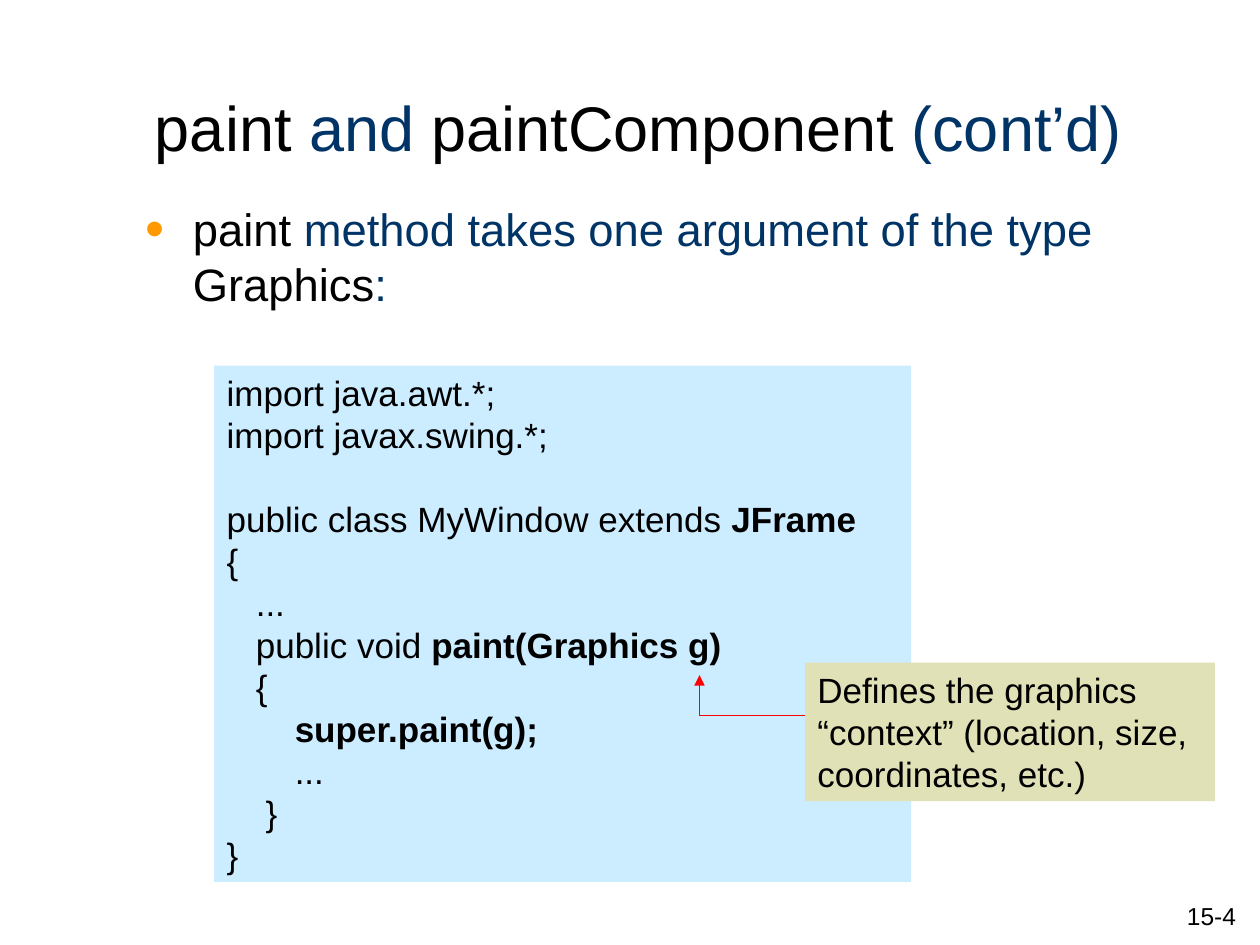
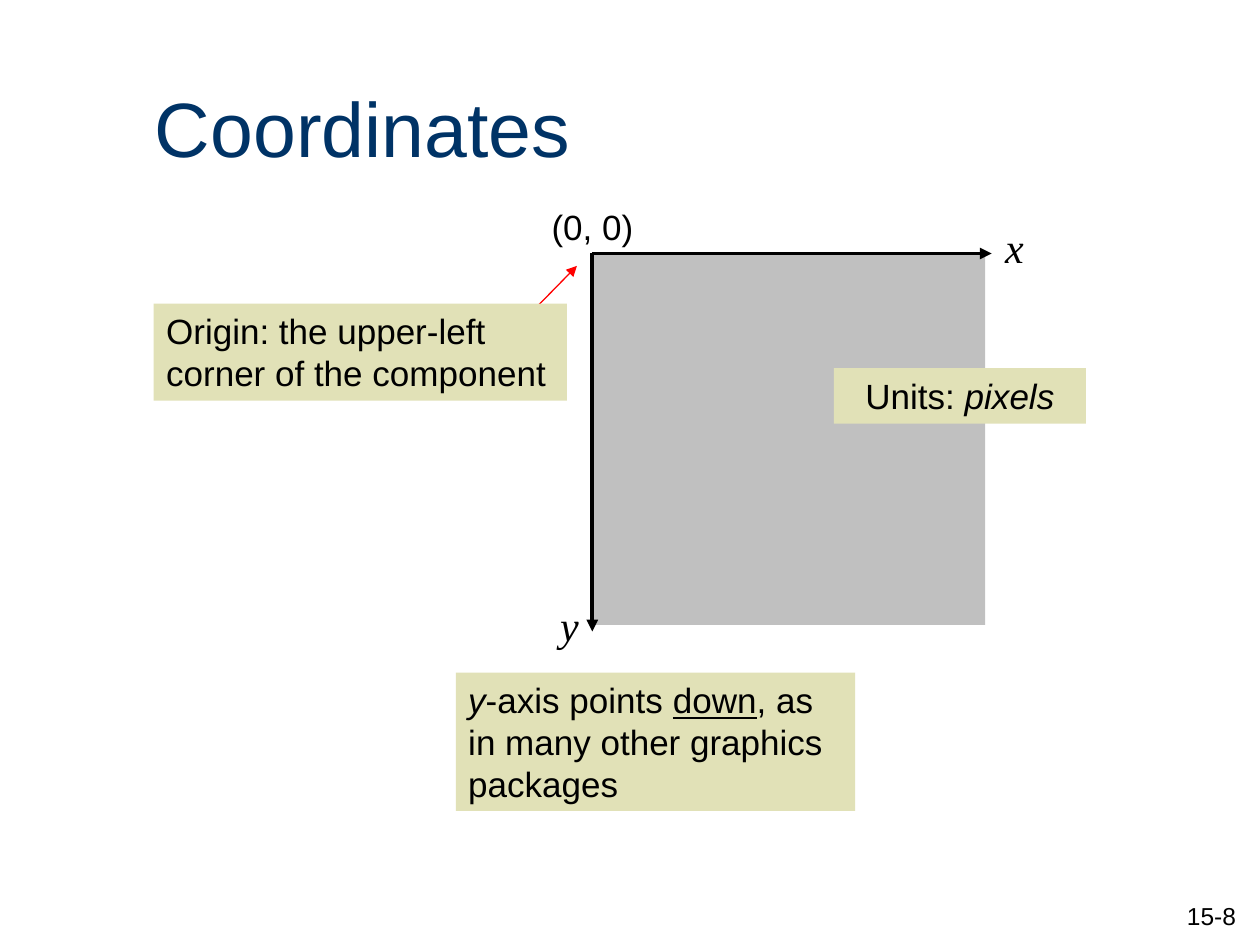
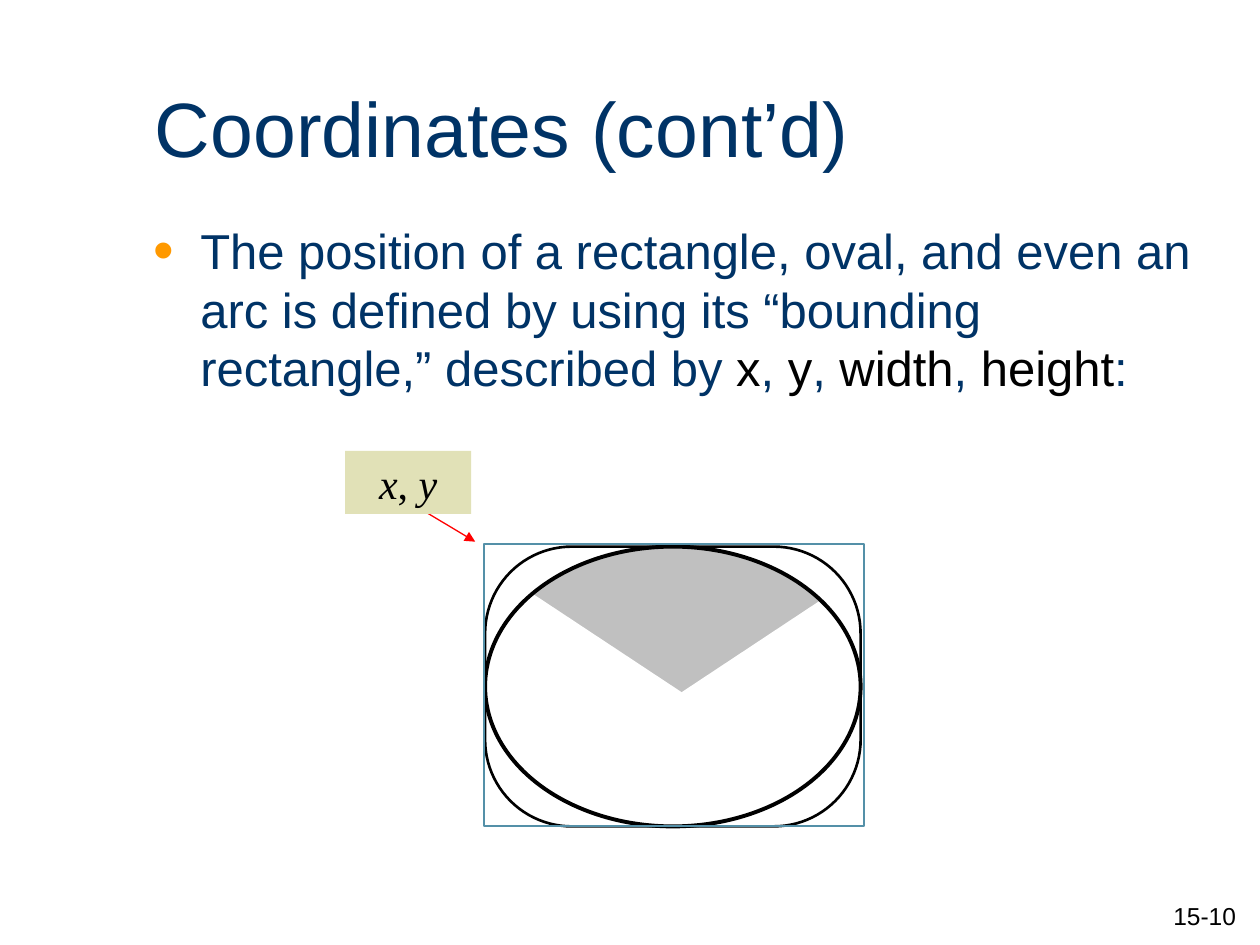
"""Builds three lecture slides on painting and coordinates in Java graphics."""
from dataclasses import dataclass

from lxml.etree import SubElement
from pptx import Presentation
from pptx.dml.color import RGBColor
from pptx.enum.shapes import MSO_CONNECTOR, MSO_SHAPE
from pptx.enum.text import MSO_ANCHOR, MSO_AUTO_SIZE, PP_ALIGN
from pptx.oxml.ns import qn
from pptx.util import Cm, Pt


@dataclass(frozen=True)
class Theme:
    sans: str = "Arial"
    serif: str = "Times New Roman"
    ink: str = "000000"
    navy: str = "003366"
    paper: str = "FFFFFF"
    bullet: str = "FF9900"
    code: str = "CCECFF"
    note: str = "E1E1B7"
    area: str = "C0C0C0"
    pointer: str = "FF0000"
    bounds: str = "5490A8"
    number_size: float = 14
    text_size: float = 20
    symbol_size: float = 24
    title_size: float = 44
    long_title_size: float = 36
    leading: float = 1.2
    thin: float = 0.75


THEME = Theme()
INK = {"color": THEME.ink}
BOLD = {"bold": True}
ITALIC = {"italic": True}
UNDERLINE = {"underline": True}
SYMBOL = {"size": THEME.symbol_size, "font": THEME.serif, "align": PP_ALIGN.CENTER}

PAINT_TITLE = [("paint", INK), (" and ", {}), ("paintComponent", INK), (" (cont’d)", {})]
PAINT_BODY = [("paint", INK), (" method takes one argument of the type ", {}),
              ("Graphics", INK), (":", {})]
CODE_LINES = [
    (0, 0, [("import java.awt.*;", {})]),
    (0, 0, [("import javax.swing.*;", {})]),
    (0, 1, [("public class MyWindow extends ", {}), ("JFrame", BOLD)]),
    (0, 0, [("{", {})]),
    (3, 0, [("...", {})]),
    (3, 0, [("public void ", {}), ("paint(Graphics g)", BOLD)]),
    (3, 0, [("{", {})]),
    (7, 0, [("super.paint(g);", BOLD)]),
    (7, 0, [("...", {})]),
    (4, 0, [("}", {})]),
    (0, 0, [("}", {})]),
]
CONTEXT_NOTE = [("Defines the graphics “context” (location, size, coordinates, etc.)", {})]

ORIGIN = (11.94, 5.11)
AXIS_ENDS = [(11.94, 12.73), (19.99, 5.11)]
AXIS_NAMES = [("x", (19.18, 4.34, 2.54, 1.27)), ("y", (10.21, 11.96, 2.54, 1.27))]
AXIS_NOTE = [("y", ITALIC), ("-axis points ", {}), ("down", UNDERLINE),
             (", as in many other graphics packages", {})]
UNITS_NOTE = [("Units: ", {}), ("pixels", ITALIC)]
ORIGIN_NOTE = [("Origin: the upper-left corner of the component", {})]

BOUNDS_BODY = [
    ("The position of a rectangle, oval, and even an arc is defined by using its "
     "“bounding rectangle,” described by ", {}),
    ("x", INK), (", ", {}), ("y", INK), (", ", {}), ("width", INK), (", ", {}),
    ("height", INK), (":", {}),
]
CORNER_NOTE = [("x", ITALIC), (", ", {}), ("y", ITALIC)]
OVAL = (9.78, 11.02, 7.57, 5.64)
ARC_MASKS = [
    [(9.65, 11.25), (9.65, 16.71), (17.91, 16.71)],
    [(17.98, 11.15), (17.98, 16.61), (9.73, 16.61)],
]


def rgb(code):
    return RGBColor.from_string(code)


def place(shape, at):
    shape.left, shape.top, shape.width, shape.height = map(Cm, at)


def paint(shape, fill=None, line=None, weight=THEME.thin):
    shape.shadow.inherit = False
    if fill:
        shape.fill.solid()
        shape.fill.fore_color.rgb = rgb(fill)
    else:
        shape.fill.background()
    if line:
        shape.line.color.rgb = rgb(line)
        shape.line.width = Pt(weight)
    else:
        shape.line.fill.background()


def add_spans(para, spans, size=THEME.text_size, font=THEME.sans, color=THEME.ink,
              align=PP_ALIGN.LEFT):
    para.alignment = align
    para.line_spacing = Pt(size * THEME.leading)
    for text, style in spans:
        span = para.add_run()
        span.text = text
        span.font.name = font
        span.font.size = Pt(size)
        span.font.color.rgb = rgb(style.get("color", color))
        for name in ("bold", "italic", "underline"):
            if name in style:
                setattr(span.font, name, True)


def prepare_frame(shape, anchor=MSO_ANCHOR.TOP):
    frame = shape.text_frame
    frame.word_wrap = True
    frame.auto_size = MSO_AUTO_SIZE.NONE
    frame.vertical_anchor = anchor
    return frame


def add_figure(page, at, kind=MSO_SHAPE.RECTANGLE, **look):
    figure = page.shapes.add_shape(kind, *map(Cm, at))
    paint(figure, **look)
    return figure


def add_note(page, at, spans, **style):
    frame = prepare_frame(add_figure(page, at, fill=THEME.note))
    add_spans(frame.paragraphs[0], spans, **style)


def add_label(page, at, spans, **style):
    box = page.shapes.add_textbox(*map(Cm, at))
    para = prepare_frame(box).paragraphs[0]
    add_spans(para, spans, **style)
    return para


def add_bullet(page, at, spans, size):
    para = add_label(page, at, spans, size=size, color=THEME.navy)
    properties = para._p.get_or_add_pPr()
    indent = Cm(0.95)
    properties.set("marL", str(indent))
    properties.set("indent", str(-indent))
    color = SubElement(properties, qn("a:buClr"))
    SubElement(color, qn("a:srgbClr"), val=THEME.bullet)
    SubElement(properties, qn("a:buSzPct"), val="120000")
    SubElement(properties, qn("a:buFont"), typeface=THEME.sans)
    SubElement(properties, qn("a:buChar"), char="•")


def add_line(page, start, end, color=THEME.pointer, weight=THEME.thin, arrow=True):
    line = page.shapes.add_connector(MSO_CONNECTOR.STRAIGHT, *map(Cm, start + end))
    line.line.color.rgb = rgb(color)
    line.line.width = Pt(weight)
    if arrow:
        SubElement(line.line._get_or_add_ln(), qn("a:tailEnd"), type="triangle")
    SubElement(line._element.spPr, qn("a:effectLst"))


def add_code(page, at, lines):
    frame = prepare_frame(add_figure(page, at, fill=THEME.code))
    space_width = 0.278 * THEME.text_size
    for index, (indent, gap, spans) in enumerate(lines):
        para = frame.add_paragraph() if index else frame.paragraphs[0]
        add_spans(para, spans)
        para.space_before = Pt(gap * THEME.text_size * THEME.leading)
        para._p.get_or_add_pPr().set("marL", str(Pt(indent * space_width)))


def add_page(deck, title, number, size=THEME.title_size):
    page = deck.slides.add_slide(deck.slide_layouts[5])
    place(page.shapes.title, (2.87, 1.35, 22, 2.39))
    frame = prepare_frame(page.shapes.title, MSO_ANCHOR.MIDDLE)
    add_spans(frame.paragraphs[0], title, size=size, color=THEME.navy)
    add_label(page, (19.89, 18.03, 5.28, 1.27), [(number, {})],
              size=THEME.number_size, align=PP_ALIGN.RIGHT)
    return page


def build_paint_page(deck):
    page = add_page(deck, PAINT_TITLE, "15-4", THEME.long_title_size)
    add_bullet(page, (2.69, 3.94, 19.94, 2.54), PAINT_BODY, 25.9)
    add_code(page, (4.32, 7.37, 14.05, 10.41), CODE_LINES)
    corner = (14.1, 14.43)
    add_line(page, corner, (14.1, 13.61))
    add_line(page, corner, (17.3, 14.43), arrow=False)
    add_note(page, (16.23, 13.36, 8.26, 2.79), CONTEXT_NOTE)


def build_axes_page(deck):
    page = add_page(deck, [("Coordinates", {})], "15-8")
    add_figure(page, ORIGIN + (7.92, 7.49), fill=THEME.area)
    for end in AXIS_ENDS:
        add_line(page, ORIGIN, end, THEME.ink, 2.25)
    for name, at in AXIS_NAMES:
        add_label(page, at, [(name, ITALIC)], **SYMBOL)
    add_note(page, (9.19, 13.56, 8.05, 2.79), AXIS_NOTE)
    add_note(page, (16.81, 7.42, 5.08, 1.12), UNITS_NOTE, align=PP_ALIGN.CENTER)
    add_label(page, (10.87, 4.01, 2.54, 1.12), [("(0, 0)", {})])
    add_line(page, (10.21, 6.81), (11.63, 5.36))
    add_note(page, (3.1, 6.12, 8.33, 1.96), ORIGIN_NOTE)


def build_bounds_page(deck):
    page = add_page(deck, [("Coordinates (cont’d)", {})], "15-10")
    add_bullet(page, (2.84, 4.32, 21.59, 13.34), BOUNDS_BODY, 28)
    add_figure(page, OVAL, MSO_SHAPE.OVAL, fill=THEME.area, line=THEME.ink)
    for first, *rest in ARC_MASKS:
        outline = page.shapes.build_freeform(*map(Cm, first))
        outline.add_line_segments([tuple(map(Cm, point)) for point in rest])
        paint(outline.convert_to_shape(), fill=THEME.paper)
    add_figure(page, OVAL, MSO_SHAPE.OVAL, line=THEME.ink, weight=2.25)
    rounded = add_figure(page, OVAL, MSO_SHAPE.ROUNDED_RECTANGLE, line=THEME.ink, weight=1.5)
    rounded.adjustments[0] = 0.31
    add_line(page, (8.36, 10.19), (9.58, 10.92))
    add_figure(page, (9.75, 10.97, 7.67, 5.69), line=THEME.bounds, weight=1.13)
    add_note(page, (6.96, 9.09, 2.54, 1.27), CORNER_NOTE, **SYMBOL)


def main():
    deck = Presentation()
    deck.slide_width, deck.slide_height = Cm(25.4), Cm(19.05)
    build_paint_page(deck)
    build_axes_page(deck)
    build_bounds_page(deck)
    deck.save("out.pptx")


if __name__ == "__main__":
    main()
